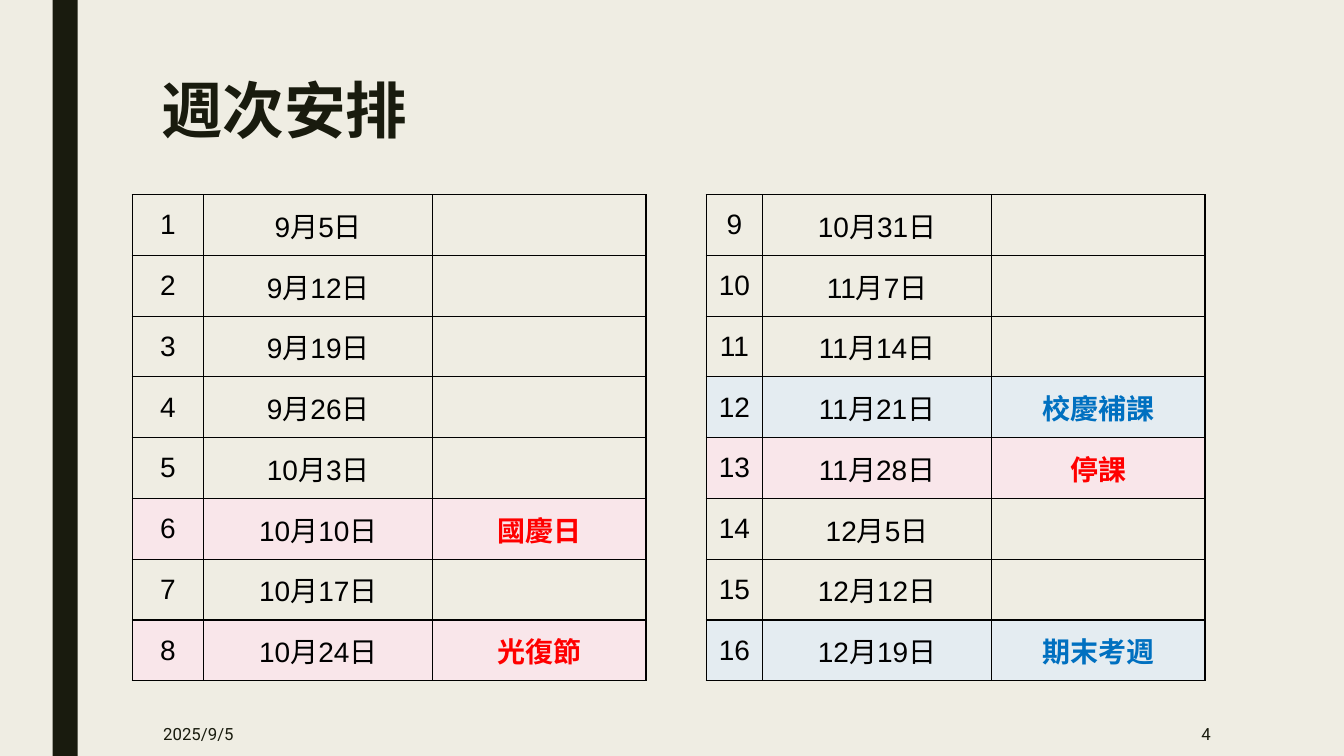
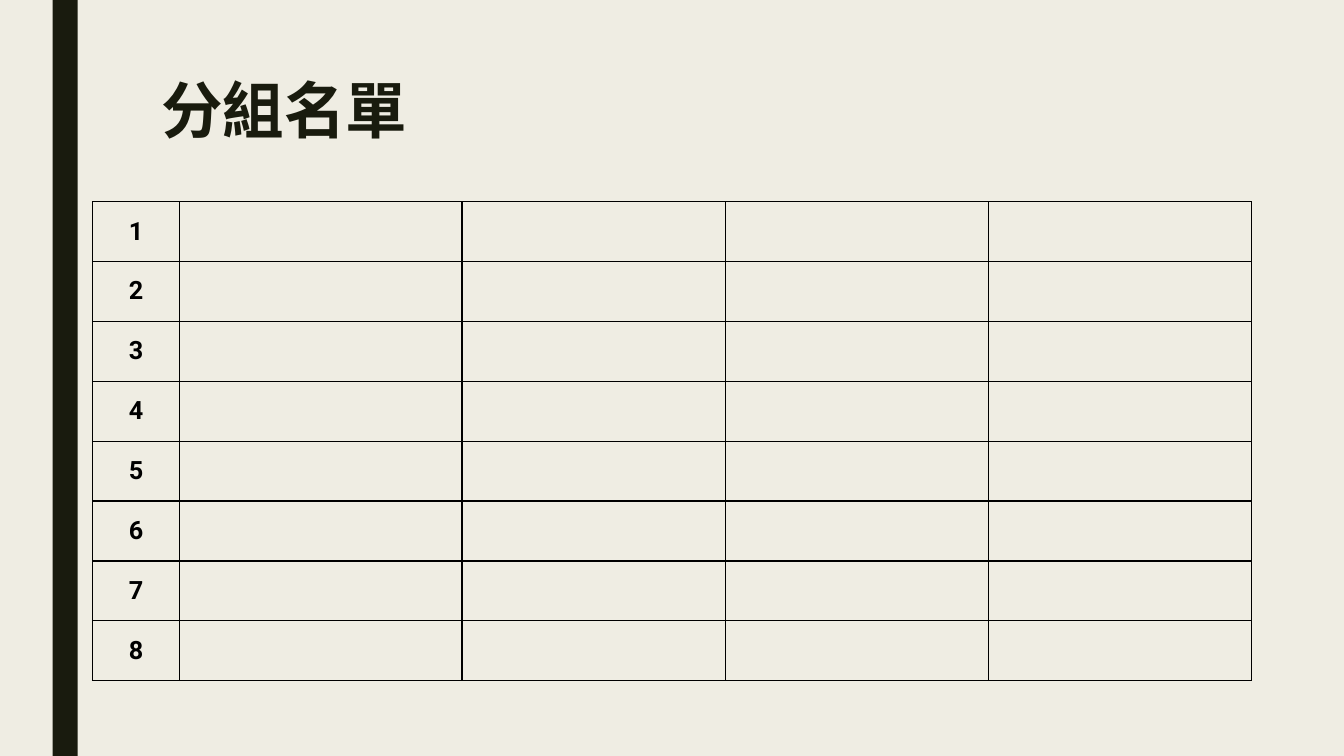
"""Build a two-slide course deck with a week schedule and a group list."""
from dataclasses import dataclass
from typing import Optional

from lxml.etree import SubElement
from pptx import Presentation
from pptx.dml.color import RGBColor
from pptx.enum.shapes import MSO_SHAPE
from pptx.enum.text import MSO_ANCHOR, PP_ALIGN
from pptx.oxml.ns import qn
from pptx.util import Pt


@dataclass(frozen=True)
class Theme:
    paper: str = "EFEDE3"
    ink: str = "191B0E"
    black: str = "000000"
    red: str = "FF0000"
    blue: str = "0070C0"
    pink_tint: str = "F9E6EA"
    blue_tint: str = "E4ECF1"
    heading_font: str = "Roboto"
    schedule_font: str = "Arial"
    title_size: float = 44
    schedule_size: float = 20
    group_size: float = 18
    footer_size: float = 12
    border_width: float = 1


THEME = Theme()


@dataclass(frozen=True)
class Box:
    left: float
    top: float
    width: float
    height: float

    def lengths(self) -> tuple:
        return Pt(self.left), Pt(self.top), Pt(self.width), Pt(self.height)


@dataclass(frozen=True)
class TextStyle:
    size: float
    color: str
    font: str = THEME.heading_font
    bold: bool = False
    align: PP_ALIGN = PP_ALIGN.LEFT
    anchor: MSO_ANCHOR = MSO_ANCHOR.MIDDLE
    line_spacing: Optional[float] = None


@dataclass(frozen=True)
class Emphasis:
    color: str
    tint: str


@dataclass(frozen=True)
class Week:
    date: str
    note: str = ""
    emphasis: Optional[Emphasis] = None


@dataclass(frozen=True)
class CellContent:
    text: str = ""
    style: Optional[TextStyle] = None
    fill: Optional[str] = None
    tight: bool = False


@dataclass(frozen=True)
class Grid:
    left: float
    top: float
    columns: tuple
    row_height: float


SLIDE_BOX = Box(0, 0, 960, 540)
BAND_BOX = Box(37.5, 0, 18, SLIDE_BOX.height)
TITLE_BOX = Box(108, 54, 756, 70.5)
DATE_BOX = Box(109.5, 508.3, 95, 31.7)
NUMBER_BOX = Box(746, 508.3, 126, 31.7)

TITLE = TextStyle(THEME.title_size, THEME.ink, bold=True, anchor=MSO_ANCHOR.TOP, line_spacing=0.89)
FOOTER = TextStyle(THEME.footer_size, THEME.ink)
FOOTER_RIGHT = TextStyle(THEME.footer_size, THEME.ink, align=PP_ALIGN.RIGHT)
SCHEDULE = TextStyle(THEME.schedule_size, THEME.black, THEME.schedule_font, align=PP_ALIGN.CENTER)
GROUP = TextStyle(THEME.group_size, THEME.black, bold=True, align=PP_ALIGN.CENTER)

HOLIDAY = Emphasis(THEME.red, THEME.pink_tint)
EVENT = Emphasis(THEME.blue, THEME.blue_tint)

WEEKS = (
    Week("9月5日"),
    Week("9月12日"),
    Week("9月19日"),
    Week("9月26日"),
    Week("10月3日"),
    Week("10月10日", "國慶日", HOLIDAY),
    Week("10月17日"),
    Week("10月24日", "光復節", HOLIDAY),
    Week("10月31日"),
    Week("11月7日"),
    Week("11月14日"),
    Week("11月21日", "校慶補課", EVENT),
    Week("11月28日", "停課", HOLIDAY),
    Week("12月5日"),
    Week("12月12日"),
    Week("12月19日", "期末考週", EVENT),
)
WEEKS_PER_TABLE = 8
SCHEDULE_GRIDS = (
    Grid(94.5, 139, (51, 163.7, 152.3), 43.4),
    Grid(504.5, 139, (40.2, 163.7, 152.3), 43.4),
)
GROUP_COUNT = 8
GROUP_GRID = Grid(66, 144, (62.5, 201.6, 187.9, 187.9, 187.9), 42.8)


def write_text(frame, text: str, style: TextStyle) -> None:
    """Write one styled run into the first paragraph of a text frame."""
    para = frame.paragraphs[0]
    para.alignment = style.align
    if style.line_spacing:
        para.line_spacing = style.line_spacing
    span = para.add_run()
    span.text = text
    span.font.name = style.font
    span.font.size = Pt(style.size)
    span.font.bold = style.bold
    span.font.color.rgb = RGBColor.from_string(style.color)


def add_text(page, box: Box, text: str, style: TextStyle) -> None:
    """Place a wrapped text box on the page."""
    frame = page.shapes.add_textbox(*box.lengths()).text_frame
    frame.word_wrap = True
    frame.vertical_anchor = style.anchor
    write_text(frame, text, style)


def add_page(deck, title: str):
    """Add a blank page with the side band and its title."""
    page = deck.slides.add_slide(deck.slide_layouts[6])
    page.background.fill.solid()
    page.background.fill.fore_color.rgb = RGBColor.from_string(THEME.paper)
    band = page.shapes.add_shape(MSO_SHAPE.RECTANGLE, *BAND_BOX.lengths())
    band.shadow.inherit = False
    band.fill.solid()
    band.fill.fore_color.rgb = RGBColor.from_string(THEME.ink)
    band.line.fill.background()
    add_text(page, TITLE_BOX, title, TITLE)
    return page


def add_borders(cell) -> None:
    """Draw a thin black line on all four sides of a cell."""
    properties = cell._tc.get_or_add_tcPr()
    for position, side in enumerate(("a:lnL", "a:lnR", "a:lnT", "a:lnB")):
        line = SubElement(properties, qn(side), w=str(Pt(THEME.border_width)))
        color_fill = SubElement(line, qn("a:solidFill"))
        SubElement(color_fill, qn("a:srgbClr"), val=THEME.black)
        properties.insert(position, line)


def fill_cell(cell, content: CellContent) -> None:
    """Apply fill, borders and text to one cell."""
    if content.fill:
        cell.fill.solid()
        cell.fill.fore_color.rgb = RGBColor.from_string(content.fill)
    else:
        cell.fill.background()
    cell.vertical_anchor = MSO_ANCHOR.MIDDLE
    if content.tight:
        cell.margin_left = cell.margin_right = Pt(5)
        cell.margin_top = cell.margin_bottom = Pt(0)
    add_borders(cell)
    if content.text:
        write_text(cell.text_frame, content.text, content.style)


def add_grid(page, grid: Grid, rows: list) -> None:
    """Add a bordered table with one list of cell contents per row."""
    box = Box(grid.left, grid.top, sum(grid.columns), grid.row_height * len(rows))
    table = page.shapes.add_table(len(rows), len(grid.columns), *box.lengths()).table
    table.first_row = False
    table.horz_banding = False
    for column, width in zip(table.columns, grid.columns):
        column.width = Pt(width)
    for row, contents in zip(table.rows, rows):
        row.height = Pt(grid.row_height)
        for cell, content in zip(row.cells, contents):
            fill_cell(cell, content)


def week_row(number: int, week: Week) -> list:
    """Return the number, date and note cells of a week."""
    tint = week.emphasis.tint if week.emphasis else None
    note_color = week.emphasis.color if week.emphasis else THEME.black
    note_style = TextStyle(THEME.schedule_size, note_color, THEME.schedule_font,
                           bold=True, align=PP_ALIGN.CENTER)
    return [
        CellContent(str(number), SCHEDULE, tint),
        CellContent(week.date, SCHEDULE, tint, tight=True),
        CellContent(week.note, note_style, tint),
    ]


def group_row(number: int) -> list:
    """Return a numbered row with empty member cells."""
    members = [CellContent(fill=THEME.paper)] * (len(GROUP_GRID.columns) - 1)
    return [CellContent(str(number), GROUP, THEME.paper), *members]


def add_schedule_page(deck) -> None:
    """Add the week schedule in two tables with a footer."""
    page = add_page(deck, "週次安排")
    add_text(page, DATE_BOX, "2025/9/5", FOOTER)
    add_text(page, NUMBER_BOX, "4", FOOTER_RIGHT)
    rows = [week_row(number, week) for number, week in enumerate(WEEKS, start=1)]
    for index, grid in enumerate(SCHEDULE_GRIDS):
        start = index * WEEKS_PER_TABLE
        add_grid(page, grid, rows[start:start + WEEKS_PER_TABLE])


def add_group_page(deck) -> None:
    """Add the group list."""
    page = add_page(deck, "分組名單")
    add_grid(page, GROUP_GRID, [group_row(number) for number in range(1, GROUP_COUNT + 1)])


def main() -> None:
    """Build and save the deck."""
    deck = Presentation()
    deck.slide_width = Pt(SLIDE_BOX.width)
    deck.slide_height = Pt(SLIDE_BOX.height)
    add_schedule_page(deck)
    add_group_page(deck)
    deck.save("out.pptx")


if __name__ == "__main__":
    main()
